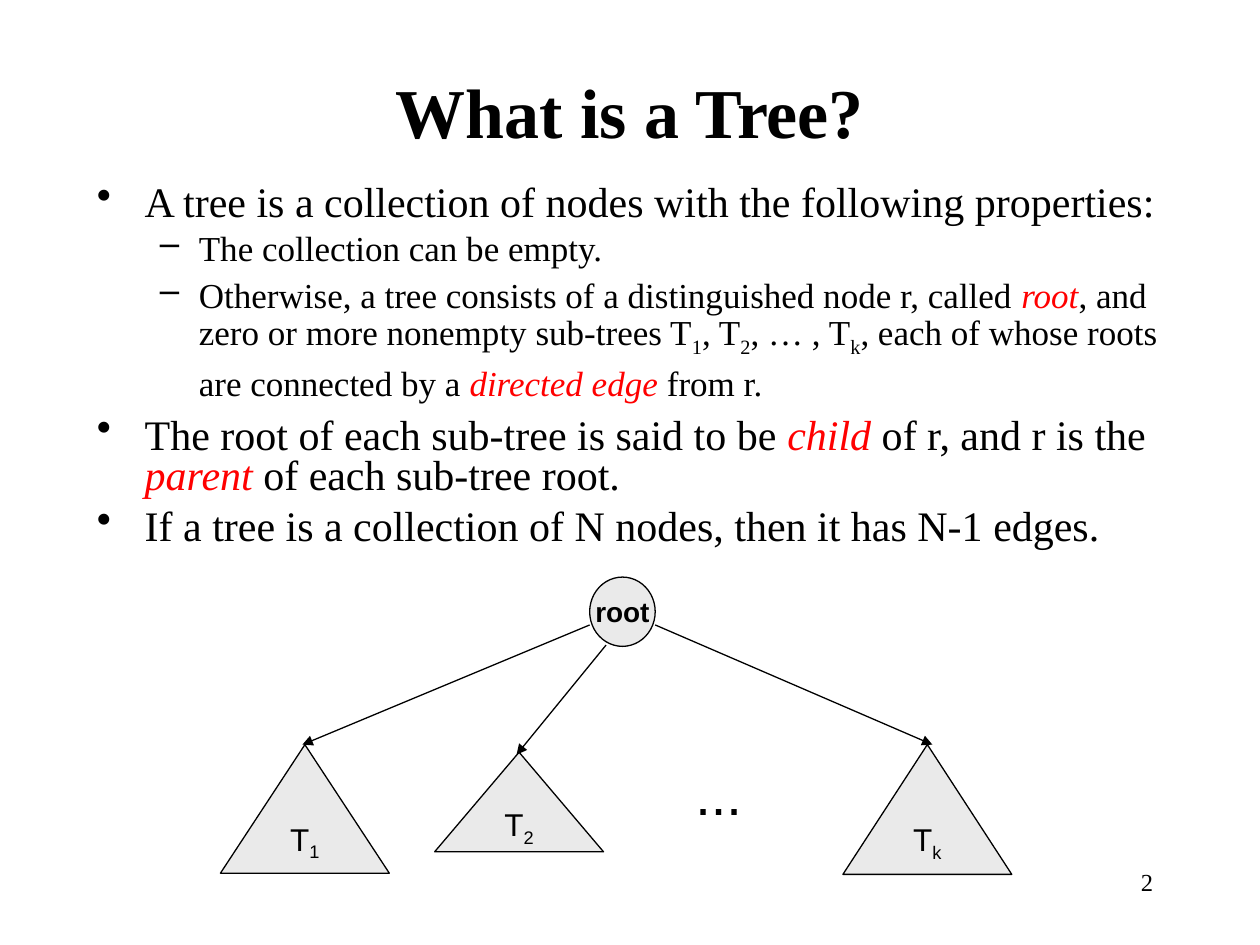
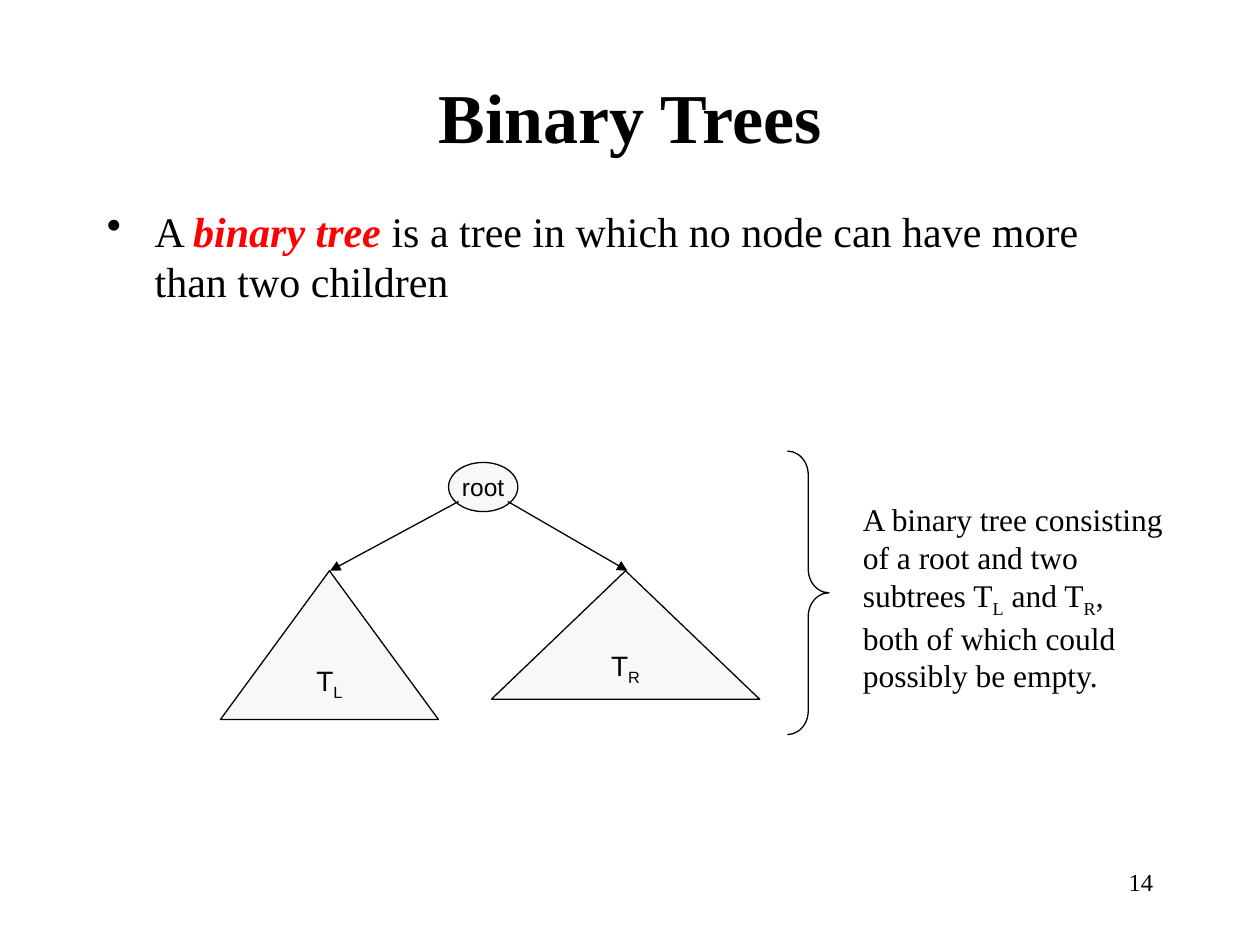
from dataclasses import dataclass
from typing import Optional, Union

import lxml.etree
import pptx
import pptx.dml.color
import pptx.enum.shapes
import pptx.enum.text
import pptx.oxml.ns
import pptx.util

Inches = pptx.util.Inches
Pt = pptx.util.Pt
Align = pptx.enum.text.PP_ALIGN
Anchor = pptx.enum.text.MSO_ANCHOR
Preset = pptx.enum.shapes.MSO_SHAPE

# Shared style
BLACK = "000000"
RED = "FF0000"
SERIF = "Times New Roman"
SANS = "Arial"
LINE_WIDTH = 0.74


@dataclass
class Run:
    text: str
    subscript: bool = False
    emphasis: bool = False
    bold: bool = False
    size: Optional[float] = None


Runs = list[Union[str, Run]]


@dataclass
class TextStyle:
    size: float
    font: str = SERIF
    bold: bool = False
    align: Align = Align.LEFT


@dataclass
class Bullet:
    runs: Runs
    level: int = 0
    before: float = 6


@dataclass
class Box:
    left: float
    top: float
    width: float
    height: float

    def lengths(self) -> list[pptx.util.Length]:
        return [Inches(n) for n in (self.left, self.top, self.width, self.height)]


@dataclass
class Node:
    preset: Preset
    box: Box
    runs: Runs
    style: TextStyle


@dataclass
class Edge:
    start: tuple[float, float]
    end: tuple[float, float]


# (size, text indent, hanging indent, character) by bullet level
BULLET_LEVELS = [(24, 0.38, 0.38, "\u2022"), (20, 0.81, 0.31, "\u2013")]
TITLE_STYLE = TextStyle(40, bold=True, align=Align.CENTER)
NUMBER_STYLE = TextStyle(14, align=Align.RIGHT)


def rgb(value: str) -> pptx.dml.color.RGBColor:
    return pptx.dml.color.RGBColor.from_string(value)


def sub(text: str) -> Run:
    return Run(text, subscript=True)


def key(text: str, bold: bool = False) -> Run:
    return Run(text, emphasis=True, bold=bold)


def add_child(parent, tag: str, **attributes: str):
    child = lxml.etree.SubElement(parent, pptx.oxml.ns.qn(tag))
    for name, value in attributes.items():
        child.set(name, value)
    return child


def fill_paragraph(paragraph, runs: Runs, style: TextStyle) -> None:
    paragraph.alignment = style.align
    font = paragraph.font
    font.name, font.size, font.bold = style.font, Pt(style.size), style.bold
    font.color.rgb = rgb(BLACK)
    for item in runs:
        part = Run(item) if isinstance(item, str) else item
        run = paragraph.add_run()
        run.text = part.text
        if part.subscript:
            run._r.get_or_add_rPr().set("baseline", "-25000")
        if part.emphasis:
            run.font.italic = True
            run.font.color.rgb = rgb(RED)
        if part.bold:
            run.font.bold = True
        if part.size:
            run.font.size = Pt(part.size)


def add_text(slide, box: Box, runs: Runs, style: TextStyle,
             anchor: Anchor = Anchor.TOP, wrap: bool = True) -> None:
    frame = slide.shapes.add_textbox(*box.lengths()).text_frame
    frame.word_wrap = wrap
    frame.vertical_anchor = anchor
    fill_paragraph(frame.paragraphs[0], runs, style)


def add_bullets(slide, box: Box, bullets: list[Bullet], spacing: float = 1.0) -> None:
    frame = slide.shapes.add_textbox(*box.lengths()).text_frame
    frame.word_wrap = True
    for index, bullet in enumerate(bullets):
        paragraph = frame.add_paragraph() if index else frame.paragraphs[0]
        size, indent, hanging, character = BULLET_LEVELS[bullet.level]
        paragraph.level = bullet.level
        properties = paragraph._p.get_or_add_pPr()
        properties.set("marL", str(Inches(indent)))
        properties.set("indent", str(-Inches(hanging)))
        add_child(properties, "a:buChar", char=character)
        paragraph.line_spacing = spacing
        paragraph.space_before = Pt(bullet.before)
        fill_paragraph(paragraph, bullet.runs, TextStyle(size))


def outline(shape) -> None:
    shape.line.color.rgb = rgb(BLACK)
    shape.line.width = Pt(LINE_WIDTH)


def add_node(slide, node: Node, fill: str) -> None:
    shape = slide.shapes.add_shape(node.preset, *node.box.lengths())
    shape.shadow.inherit = False
    shape.fill.solid()
    shape.fill.fore_color.rgb = rgb(fill)
    outline(shape)
    frame = shape.text_frame
    frame.word_wrap = False
    frame.vertical_anchor = Anchor.MIDDLE
    fill_paragraph(frame.paragraphs[0], node.runs, node.style)


def add_edge(slide, edge: Edge) -> None:
    points = [Inches(n) for n in (*edge.start, *edge.end)]
    connector = slide.shapes.add_connector(
        pptx.enum.shapes.MSO_CONNECTOR.STRAIGHT, *points)
    outline(connector)
    add_child(connector.line._get_or_add_ln(), "a:tailEnd", type="triangle")
    add_child(connector._element.spPr, "a:effectLst")


def add_tree(slide, nodes: list[Node], edges: list[Edge], fill: str) -> None:
    for node in nodes:
        add_node(slide, node, fill)
    for edge in edges:
        add_edge(slide, edge)


def add_brace(slide, box: Box) -> None:
    brace = slide.shapes.add_shape(Preset.RIGHT_BRACE, *box.lengths())
    brace.shadow.inherit = False
    brace.adjustments[0] = 0.57
    brace.fill.background()
    outline(brace)


def root(box: Box, size: float, bold: bool = False) -> Node:
    return Node(Preset.OVAL, box, ["root"], TextStyle(size, SANS, bold, Align.CENTER))


def subtree(box: Box, name: str, size: float) -> Node:
    return Node(Preset.ISOSCELES_TRIANGLE, box, ["T", sub(name)],
                TextStyle(size, SANS, align=Align.CENTER))


def new_slide(presentation, title: str, title_height: float, number: int):
    slide = presentation.slides.add_slide(presentation.slide_layouts[6])
    add_text(slide, Box(7.17, 6.83, 2.08, 0.5), [str(number)], NUMBER_STYLE)
    add_text(slide, Box(0.75, 0.5, 8.5, title_height), [title], TITLE_STYLE, Anchor.MIDDLE)
    return slide


def build_tree_slide(presentation) -> None:
    slide = new_slide(presentation, "What is a Tree?", 0.75, 2)
    add_bullets(slide, Box(0.67, 1.42, 8.75, 3), [
        Bullet(["A tree is a collection of nodes with the following properties: "]),
        Bullet(["The collection can be empty. "], level=1, before=5),
        Bullet(["Otherwise, a tree consists of a distinguished node r, called ",
                key("root"), ", and zero or more nonempty sub-trees T", sub("1"),
                ", T", sub("2"), ", \u2026 , T", sub("k"),
                ", each of whose roots are connected by a ",
                key("directed edge "), "from r.", Run(" ", size=32)],
               level=1, before=8),
        Bullet(["The root of each sub-tree is said to be ", key("child"),
                " of r, and r is the ", key("parent "), "of each sub-tree root. "]),
        Bullet(["If a tree is a collection of N nodes, then it has N-1 edges. "]),
    ], spacing=0.8)

    # Root with k subtrees
    add_tree(slide, [
        root(Box(4.68, 4.58, 0.52, 0.55), 16, bold=True),
        subtree(Box(1.75, 5.91, 1.34, 1.02), "1", 18),
        subtree(Box(3.45, 5.97, 1.34, 0.79), "2", 18),
        subtree(Box(6.69, 5.91, 1.34, 1.03), "k", 18),
    ], [
        Edge((4.68, 4.96), (2.4, 5.91)),
        Edge((4.81, 5.12), (4.1, 5.99)),
        Edge((5.2, 4.96), (7.4, 5.91)),
    ], fill="EAEAEA")
    add_text(slide, Box(5.42, 5.98, 0.57, 0.64), ["..."], TextStyle(32, SANS), wrap=False)


def build_binary_slide(presentation) -> None:
    slide = new_slide(presentation, "Binary Trees", 0.83, 14)
    add_bullets(slide, Box(0.75, 1.58, 8.5, 2.83), [
        Bullet(["A ", key("binary tree ", bold=True),
                "is a tree in which no node can have more than two children"]),
    ])

    # Root with a left and a right subtree
    add_tree(slide, [
        root(Box(3.56, 3.67, 0.55, 0.39), 14),
        subtree(Box(1.75, 4.53, 1.73, 1.18), "L", 16),
        subtree(Box(3.9, 4.53, 2.13, 1.02), "R", 16),
    ], [
        Edge((3.64, 3.98), (2.62, 4.53)),
        Edge((4.03, 3.98), (4.98, 4.53)),
    ], fill="F8F8F8")

    # Explanation beside the tree
    add_text(slide, Box(6.75, 3.92, 2.58, 1.64), [
        "A binary tree consisting of a root and two subtrees T", sub("L"),
        " and T", sub("R"), ", both of which could possibly be empty. ",
    ], TextStyle(18))
    add_brace(slide, Box(6.25, 3.58, 0.33, 2.25))


presentation = pptx.Presentation()
presentation.slide_width = Inches(10)
presentation.slide_height = Inches(7.5)
build_tree_slide(presentation)
build_binary_slide(presentation)
presentation.save("out.pptx")
